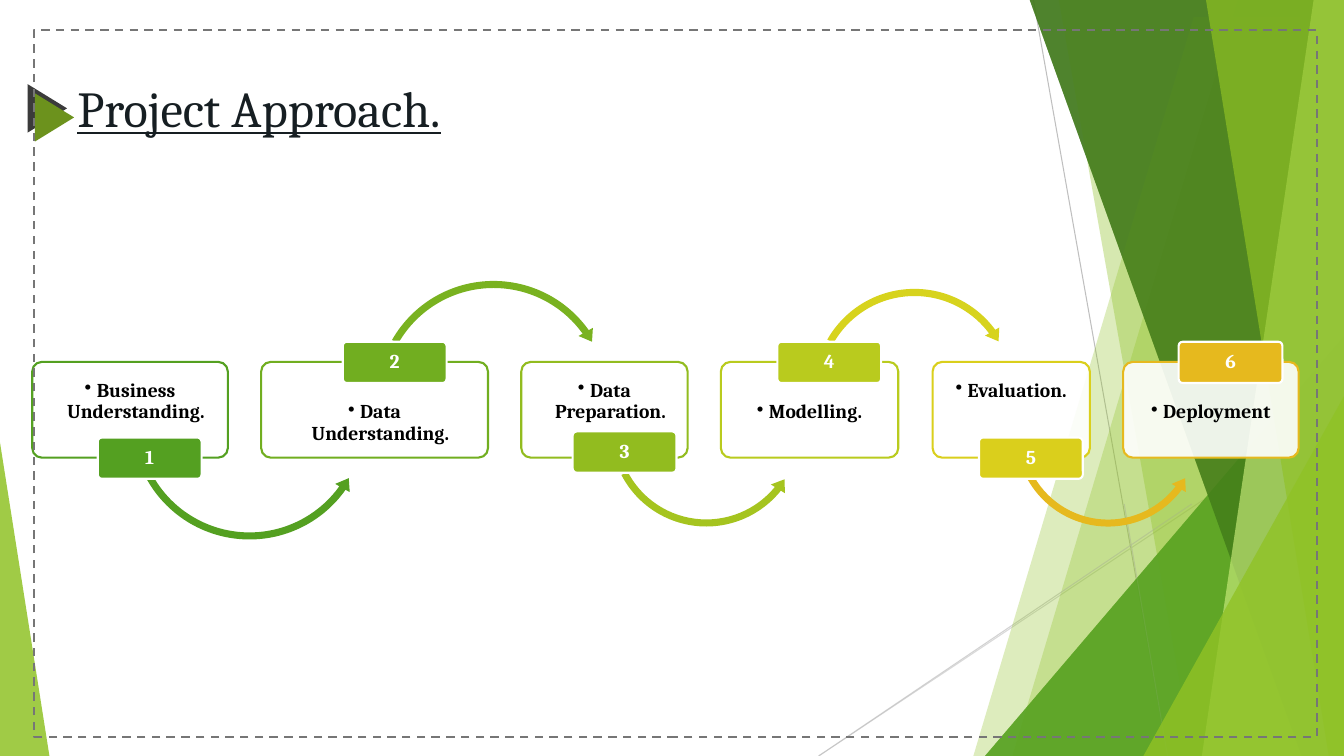
from lxml import etree
from pptx import Presentation
from pptx.dml.color import RGBColor
from pptx.enum.dml import MSO_LINE
from pptx.enum.shapes import MSO_CONNECTOR, MSO_SHAPE
from pptx.enum.text import MSO_ANCHOR, PP_ALIGN
from pptx.oxml.ns import qn
from pptx.util import Cm, Pt

RECT, ROUND_RECT = MSO_SHAPE.RECTANGLE, MSO_SHAPE.ROUNDED_RECTANGLE
TRIANGLE = MSO_SHAPE.ISOSCELES_TRIANGLE
ARC_UP, ARC_DOWN = MSO_SHAPE.CIRCULAR_ARROW, MSO_SHAPE.LEFT_CIRCULAR_ARROW
STRAIGHT, DASH = MSO_CONNECTOR.STRAIGHT, MSO_LINE.DASH
TOP, MIDDLE = MSO_ANCHOR.TOP, MSO_ANCHOR.MIDDLE
LEFT, CENTER = PP_ALIGN.LEFT, PP_ALIGN.CENTER

FONT = "Cambria"
WIDTH, HEIGHT = 13.33, 7.5
LIME, GREEN, FOREST, PALE = "90C226", "54A021", "3F7819", "C0E474"
CARD_TOP, CARD_HEIGHT = 3.59, 0.95
BADGE_WIDTH, BADGE_HEIGHT = 1.03, 0.41

# Label, colour, card left and width, badge left and top
STEPS = [
    ("Business Understanding.", GREEN, 0.32, 1.94, 0.97, 4.34),
    ("Data Understanding.", "71AE20", 2.59, 2.25, 3.4, 3.39),
    ("Data Preparation.", "92BC1F", 5.17, 1.65, 5.68, 4.28),
    ("Modelling.", "B9CB1E", 7.15, 1.76, 7.71, 3.39),
    ("Evaluation.", "DACF1C", 9.25, 1.56, 9.71, 4.34),
    ("Deployment", "E6B91E", 11.14, 1.74, 11.69, 3.39),
]
# Kind, colour, left, top, size, adjustments; one between each pair of steps
ARCS = [
    (ARC_DOWN, GREEN, 1.26, 2.97, 2.43, (0.029, 3.516, 21.271, 90.245, 0.034)),
    (ARC_UP, "79B220", 3.69, 2.74, 2.41, (0.029, 3.546, 194.699, 125.755, 0.034)),
    (ARC_DOWN, "A5C41F", 6.01, 3.28, 1.99, (0.035, 4.367, 23.379, 91.501, 0.041)),
    (ARC_UP, "D7D31D", 8.03, 2.82, 2.08, (0.034, 4.148, 194.096, 125.755, 0.039)),
    (ARC_DOWN, "E6B91E", 10.03, 3.35, 1.92, (0.036, 4.531, 22.286, 90.245, 0.042)),
]


def inches(value):
    return Cm(value * 2.54)


def rgb(code):
    return RGBColor.from_string(code)


def set_alpha(color_format_parent, opacity):
    """Set the opacity, in percent, of the solid colour below an element."""
    color = color_format_parent.find(".//" + qn("a:srgbClr"))
    etree.SubElement(color, qn("a:alpha"), val=str(opacity * 1000))


def paint(shape, fill=None, opacity=100, line=None, weight=1.5):
    shape.shadow.inherit = False
    if fill:
        shape.fill.solid()
        shape.fill.fore_color.rgb = rgb(fill)
        if opacity < 100:
            set_alpha(shape.fill._xPr.find(qn("a:solidFill")).getparent(), opacity)
    else:
        shape.fill.background()
    if line:
        shape.line.color.rgb = rgb(line)
        shape.line.width = Pt(weight)
    else:
        shape.line.fill.background()


def add_block(slide, kind, box, adjust=(), rotation=0, **style):
    block = slide.shapes.add_shape(kind, *map(inches, box))
    for index, value in enumerate(adjust):
        block.adjustments[index] = value
    block.rotation = rotation
    paint(block, **style)
    return block


def add_facet(slide, points, color, opacity):
    corners = [(inches(x), inches(y)) for x, y in points]
    builder = slide.shapes.build_freeform(*corners[0])
    builder.add_line_segments(corners[1:], close=True)
    paint(builder.convert_to_shape(), color, opacity)


def add_thin_line(slide, start, end, color, opacity=100):
    thin = slide.shapes.add_connector(STRAIGHT, *map(inches, start + end))
    thin.line.color.rgb = rgb(color)
    thin.line.width = Pt(0.75)
    properties = thin._element.spPr
    if opacity < 100:
        set_alpha(properties, opacity)
    etree.SubElement(properties, qn("a:effectLst"))


def write(shape, text, size=14, color="000000", bold=False, underline=False,
          align=CENTER, anchor=MIDDLE, insets=(0.1, 0.05), spacing=None, bullet=False):
    frame = shape.text_frame
    frame.word_wrap = True
    frame.vertical_anchor = anchor
    side, vertical = map(inches, insets)
    frame.margin_left = frame.margin_right = side
    frame.margin_top = vertical
    frame.margin_bottom = 0 if anchor == TOP else vertical
    paragraph = frame.paragraphs[0]
    paragraph.alignment = align
    if spacing:
        paragraph.line_spacing = spacing
    if bullet:
        properties = paragraph._p.get_or_add_pPr()
        properties.set("marL", str(inches(0.12)))
        properties.set("indent", str(-inches(0.12)))
        etree.SubElement(properties, qn("a:buChar"), char="•")
    run = paragraph.add_run()
    run.text = text
    font = run.font
    font.name, font.size, font.color.rgb = FONT, Pt(size), rgb(color)
    font.bold, font.underline = bold, underline


def add_facets(slide, shift=(0, 0)):
    """Draw the overlapping translucent panels at the right edge."""
    def panel(top_left, bottom_left, color, opacity, move=(0, 0)):
        corners = [(top_left, -0.01), (WIDTH, -0.01), (WIDTH, HEIGHT), (bottom_left, HEIGHT)]
        add_facet(slide, [(x + move[0], y + move[1]) for x, y in corners], color, opacity)

    def corner(left, top, color, opacity):
        add_block(slide, TRIANGLE, (left, top, WIDTH - left, HEIGHT - top),
                  adjust=[1], fill=color, opacity=opacity)

    panel(12.28, 10.04, LIME, 30, shift)
    panel(10.5, 11.83, LIME, 20)
    corner(9.77, 3.33, GREEN, 72)
    panel(10.21, 12.91, FOREST, 70)
    panel(13.03, 11.92, PALE, 70)
    panel(11.96, 13.18, LIME, 65)
    corner(11.34, 3.93, LIME, 80)


def add_background(slide):
    add_thin_line(slide, (10.25, 0), (11.58, HEIGHT), "BFBFBF")
    add_thin_line(slide, (WIDTH, 4.03), (8.12, HEIGHT), "D9D9D9")
    add_facets(slide)
    add_block(slide, TRIANGLE, (0, 4.39, 0.49, 3.11), adjust=[0], fill=LIME, opacity=85)
    add_thin_line(slide, (11.15, 5), (11.58, HEIGHT), "BFBFBF", 70)
    add_thin_line(slide, (11.82, 5), (8.12, HEIGHT), "BFBFBF", 70)
    add_facets(slide, shift=(-0.44, 0.18))


def add_step(slide, number, label, color, left, width, badge_left, badge_top):
    card = add_block(slide, ROUND_RECT, (left, CARD_TOP, width, CARD_HEIGHT),
                     adjust=[0.1], fill="FFFFFF", opacity=90, line=color)
    # The label keeps clear of a badge on the card's upper edge
    label_inset = 0.37 if badge_top < CARD_TOP else 0.16
    write(card, label, bold=True, anchor=TOP, insets=(0.16, label_inset),
          spacing=0.9, bullet=True)
    if number <= len(ARCS):
        kind, arc_color, arc_left, arc_top, size, adjust = ARCS[number - 1]
        add_block(slide, kind, (arc_left, arc_top, size, size), adjust, fill=arc_color)
    badge = add_block(slide, ROUND_RECT, (badge_left, badge_top, BADGE_WIDTH, BADGE_HEIGHT),
                      adjust=[0.1], fill=color, line="FFFFFF")
    write(badge, str(number), color="FFFFFF", bold=True, insets=(0.03, 0.02), spacing=0.9)


def add_heading(slide):
    add_block(slide, TRIANGLE, (0.23, 0.88, 0.48, 0.39), rotation=90, fill="3B3B3B")
    heading = slide.shapes.add_textbox(*map(inches, (0.67, 0.64, 6.79, 0.86)))
    write(heading, "Project Approach.", size=36, color="161E22", underline=True, align=LEFT)
    add_block(slide, TRIANGLE, (0.3, 0.97, 0.48, 0.39), rotation=90, fill="6C921D")


def main():
    deck = Presentation()
    deck.slide_width, deck.slide_height = inches(WIDTH), inches(HEIGHT)
    slide = deck.slides.add_slide(deck.slide_layouts[6])

    add_background(slide)
    for number, step in enumerate(STEPS, start=1):
        add_step(slide, number, *step)
    add_heading(slide)

    # Dashed border
    border = add_block(slide, RECT, (0.34, 0.3, 12.72, 7.01), line="767676")
    border.line.dash_style = DASH

    deck.save("out.pptx")


main()
